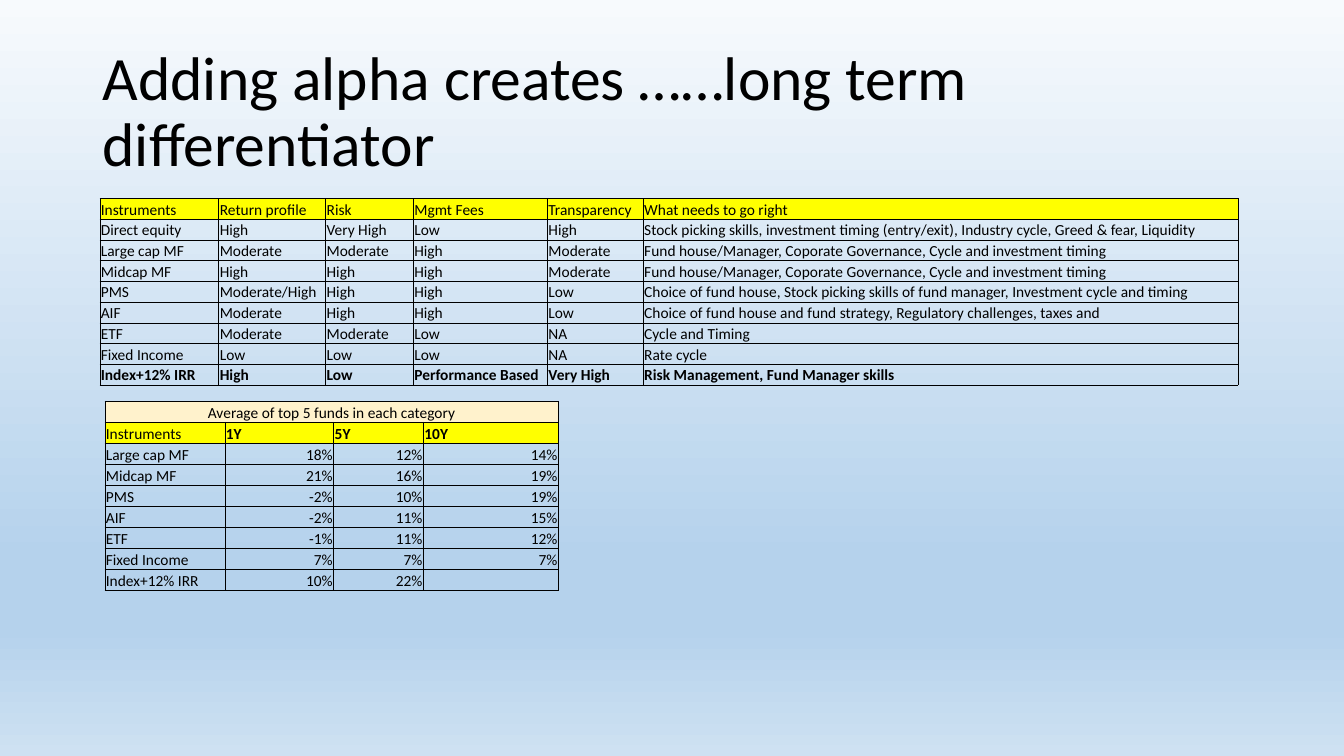
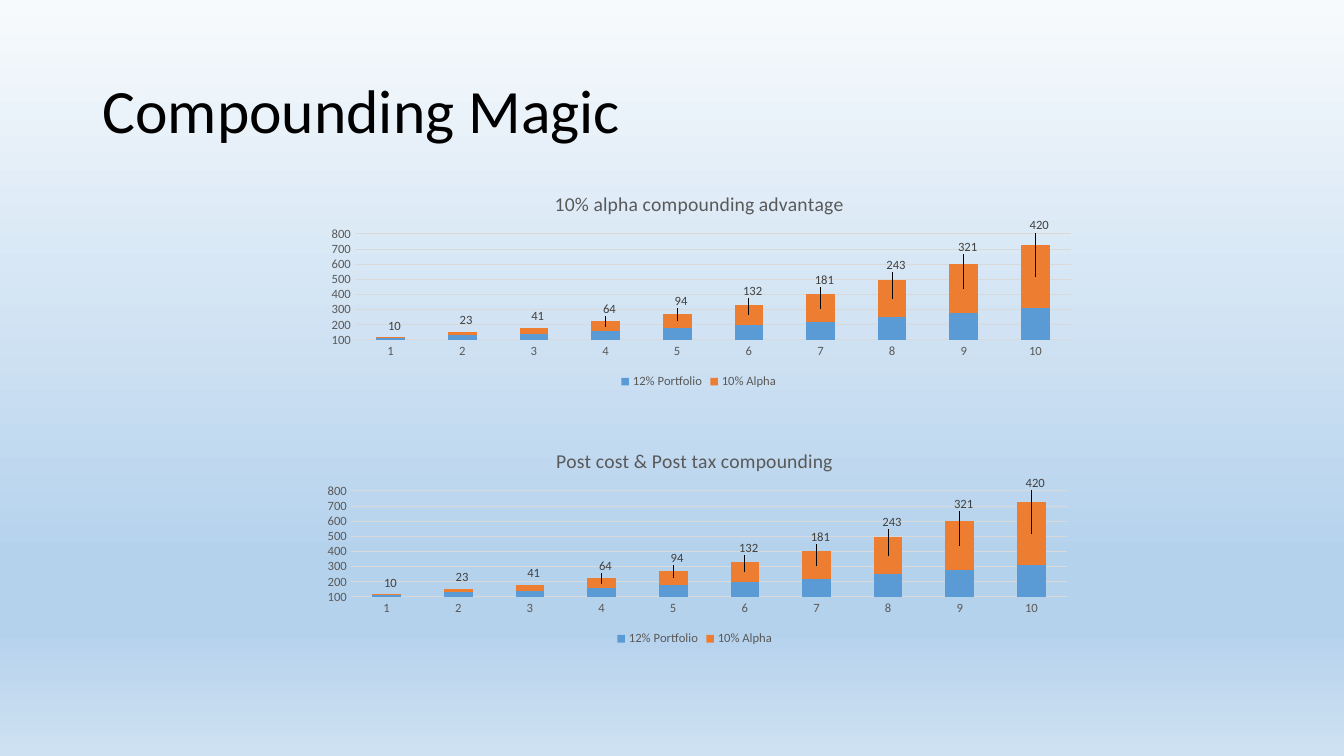
from lxml import etree
from pptx import Presentation
from pptx import util as u
from pptx.chart.data import CategoryChartData
from pptx.dml.color import RGBColor
from pptx.enum import chart as ch
from pptx.enum import text
from pptx.oxml import parse_xml
from pptx.oxml.ns import nsdecls, qn

Inches, Pt = u.Inches, u.Pt
FONT = "Calibri"
BLACK = RGBColor(0x00, 0x00, 0x00)
YELLOW = RGBColor(0xFF, 0xFF, 0x00)
CREAM = RGBColor(0xFF, 0xF2, 0xCC)
BLUE = RGBColor(0x5B, 0x9B, 0xD5)
ORANGE = RGBColor(0xED, 0x7D, 0x31)
GRID = RGBColor(0xD9, 0xD9, 0xD9)
GREY = RGBColor(0x59, 0x59, 0x59)
LABEL = RGBColor(0x40, 0x40, 0x40)
BACKGROUND = [(0, "F7FAFD"), (74, "B5D2EC"), (83, "B5D2EC"), (100, "CEE1F2")]
LEFT, CENTER, RIGHT = text.PP_ALIGN.LEFT, text.PP_ALIGN.CENTER, text.PP_ALIGN.RIGHT

TIMING = "Fund house/Manager, Coporate Governance, Cycle and investment timing"
PROFILE = [
    ["Instruments", "Return profile", "Risk", "Mgmt Fees", "Transparency", "What needs to go right"],
    ["Direct equity", "High", "Very High", "Low", "High",
     "Stock picking skills, investment timing (entry/exit), Industry cycle, Greed & fear, Liquidity"],
    ["Large cap MF", "Moderate", "Moderate", "High", "Moderate", TIMING],
    ["Midcap MF", "High", "High", "High", "Moderate", TIMING],
    ["PMS", "Moderate/High", "High", "High", "Low",
     "Choice of fund house, Stock picking skills of fund manager, Investment cycle and timing"],
    ["AIF", "Moderate", "High", "High", "Low",
     "Choice of fund house and fund strategy, Regulatory challenges, taxes and"],
    ["ETF", "Moderate", "Moderate", "Low", "NA", "Cycle and Timing"],
    ["Fixed Income", "Low", "Low", "Low", "NA", "Rate cycle"],
    ["Index+12% IRR", "High", "Low", "Performance Based", "Very High",
     "Risk Management, Fund Manager skills"],
]
RETURNS = [
    ["Average of top 5 funds in each category", "", "", ""],
    ["Instruments", "1Y", "5Y", "10Y"],
    ["Large cap MF", "18%", "12%", "14%"],
    ["Midcap MF", "21%", "16%", "19%"],
    ["PMS", "-2%", "10%", "19%"],
    ["AIF", "-2%", "11%", "15%"],
    ["ETF", "-1%", "11%", "12%"],
    ["Fixed Income", "7%", "7%", "7%"],
    ["Index+12% IRR", "10%", "22%", ""],
]
PORTFOLIO = [110, 130, 140, 160, 180, 200, 220, 250, 280, 310]
ALPHA = [10, 23, 41, 64, 94, 132, 181, 243, 321, 420]


# Shared look
def set_background(master):
    fill = master.background.fill
    fill.gradient()
    fill.gradient_angle = 270
    stops = master.element.find(".//" + qn("p:bgPr")).find(".//" + qn("a:gsLst"))
    for stop in list(stops):
        stops.remove(stop)
    for pos, color in BACKGROUND:
        stop = etree.SubElement(stops, qn("a:gs"), pos=str(pos * 1000))
        etree.SubElement(stop, qn("a:srgbClr"), val=color)


def style_font(font, size, color, bold=False):
    font.name, font.size, font.bold = FONT, Pt(size), bold
    font.color.rgb = color


def add_slide(prs, title):
    s = prs.slides.add_slide(prs.slide_layouts[6])
    sp = s.shapes.add_textbox(Inches(0.92), Inches(0.4), Inches(11.5), Inches(1.45))
    tf = sp.text_frame
    tf.word_wrap = True
    tf.vertical_anchor = text.MSO_ANCHOR.MIDDLE
    p = tf.paragraphs[0]
    p.text = title
    p.line_spacing = 0.9
    style_font(p.runs[0].font, 44, BLACK)
    return s


# Tables
def set_borders(cell):
    tcPr = cell._tc.get_or_add_tcPr()
    for side in ("lnL", "lnR", "lnT", "lnB"):
        tcPr.append(parse_xml(
            f'<a:{side} {nsdecls("a")} w="{Pt(0.5)}"><a:solidFill>'
            f'<a:srgbClr val="{BLACK}"/></a:solidFill></a:{side}>'))


def fill_cell(cell, value, fill, bold, align):
    set_borders(cell)
    if fill is None:
        cell.fill.background()
    else:
        cell.fill.solid()
        cell.fill.fore_color.rgb = fill
    cell.margin_left = cell.margin_right = cell.margin_top = Inches(0.01)
    cell.margin_bottom = 0
    cell.vertical_anchor = text.MSO_ANCHOR.BOTTOM
    p = cell.text_frame.paragraphs[0]
    p.text = value
    p.alignment = align
    for r in p.runs:
        style_font(r.font, 11, BLACK, bold)
    if not value:  # keeps an empty cell from stretching its row
        etree.SubElement(p._p, qn("a:endParaRPr"), sz="1100")


def add_grid(s, left, top, height, widths, rows, look):
    """look(row, column) gives the fill, the weight and the alignment."""
    frame = s.shapes.add_table(len(rows), len(widths), Inches(left), Inches(top),
                               Inches(sum(widths)), Inches(height))
    table = frame.table
    table.first_row = table.horz_banding = False
    for column, width in zip(table.columns, widths):
        column.width = Inches(width)
    for i, row in enumerate(rows):
        table.rows[i].height = Inches(height / len(rows))
        for j, value in enumerate(row):
            fill_cell(table.cell(i, j), value, *look(i, j))
    return table


def profile_look(i, j):
    return (YELLOW if i == 0 else None), i == len(PROFILE) - 1, LEFT


def returns_look(i, j):
    if i == 0:
        return CREAM, False, CENTER
    if i == 1:
        return YELLOW, j > 0, LEFT
    return None, False, RIGHT if j else LEFT


# Charts
def manual_layout(inner=False, edge=False, **places):
    target = '<c:layoutTarget val="inner"/>' if inner else ""
    modes = '<c:xMode val="edge"/><c:yMode val="edge"/>' if inner or edge else ""
    values = "".join(f'<c:{k} val="{v:.4f}"/>' for k, v in places.items())
    return parse_xml(f'<c:layout {nsdecls("c")}><c:manualLayout>{target}{modes}{values}'
                     '</c:manualLayout></c:layout>')


def set_layout(parent, layout, after=None):
    for old in parent.findall(qn("c:layout")):
        parent.remove(old)
    if after is None:
        parent.insert(0, layout)
    else:
        parent.find(qn(after)).addnext(layout)


def hide_leader_lines(labels):
    dLbls = labels._element
    for flag in dLbls.findall(qn("c:showLeaderLines")):
        dLbls.remove(flag)
    dLbls.append(parse_xml(
        f'<c:extLst {nsdecls("c")}><c:ext uri="{{CE6537A1-D6FC-4f65-9D91-7224C49458BB}}" '
        'xmlns:c15="http://schemas.microsoft.com/office/drawing/2012/chart">'
        '<c15:showLeaderLines val="0"/></c:ext></c:extLst>'))


def label_series(series):
    labels = series.data_labels
    labels.show_value = True
    labels.number_format, labels.number_format_is_linked = "#,##0", False
    style_font(labels.font, 9, LABEL)
    # Lift each label from the middle of its segment to above the column
    for i, value in reversed(list(enumerate(ALPHA))):
        label = parse_xml(
            f'<c:dLbl {nsdecls("c")}><c:idx val="{i}"/><c:showLegendKey val="0"/>'
            '<c:showVal val="1"/><c:showCatName val="0"/><c:showSerName val="0"/>'
            '<c:showPercent val="0"/><c:showBubbleSize val="0"/></c:dLbl>')
        set_layout(label, manual_layout(x=0.005, y=-0.051 - 0.00044 * value), "c:idx")
        labels._element.insert(0, label)
    hide_leader_lines(labels)


def style_axes(chart):
    for axis in (chart.category_axis, chart.value_axis):
        axis.major_tick_mark = axis.minor_tick_mark = ch.XL_TICK_MARK.NONE
        axis.format.line.fill.background()
        style_font(axis.tick_labels.font, 9, GREY)
    axis = chart.value_axis
    axis.minimum_scale, axis.maximum_scale, axis.major_unit = 100, 800, 100
    axis.tick_labels.number_format = "#,##0"
    axis.tick_labels.number_format_is_linked = False
    line = axis.major_gridlines.format.line
    line.color.rgb, line.width = GRID, Pt(0.75)


def add_growth_chart(s, left, top, title, title_x):
    data = CategoryChartData()
    data.categories = [str(year) for year in range(1, 11)]
    data.add_series("12% Portfolio", PORTFOLIO)
    data.add_series("10% Alpha", ALPHA)
    chart = s.shapes.add_chart(ch.XL_CHART_TYPE.COLUMN_STACKED, Inches(left), Inches(top),
                               Inches(7.7), Inches(2.13), data).chart
    style_font(chart.font, 10, BLACK)

    chart.has_title = True
    p = chart.chart_title.text_frame.paragraphs[0]
    p.text = title
    style_font(p.runs[0].font, 14, GREY)
    set_layout(chart.chart_title._element, manual_layout(edge=True, x=title_x, y=0.04), "c:tx")

    chart.has_legend = True
    chart.legend.position = ch.XL_LEGEND_POSITION.BOTTOM
    chart.legend.include_in_layout = False
    style_font(chart.legend.font, 9, GREY)

    plot = chart.plots[0]
    plot.gap_width, plot.overlap, plot.vary_by_categories = 150, 100, False
    for series, color in zip(plot.series, (BLUE, ORANGE)):
        series.format.fill.solid()
        series.format.fill.fore_color.rgb = color
    label_series(plot.series[1])
    style_axes(chart)
    area = chart._chartSpace.find(".//" + qn("c:plotArea"))
    set_layout(area, manual_layout(inner=True, x=0.057, y=0.259, w=0.923, h=0.494))


def main():
    prs = Presentation()
    prs.slide_width, prs.slide_height = Inches(13.33), Inches(7.5)
    set_background(prs.slide_master)

    # Instruments compared
    s = add_slide(prs, "Adding alpha creates ……long term differentiator")
    add_grid(s, 0.99, 1.97, 1.85, [1.18, 1.06, 0.87, 1.33, 0.95, 5.9], PROFILE, profile_look)
    table = add_grid(s, 1.04, 3.98, 1.88, [1.19, 1.08, 0.89, 1.34], RETURNS, returns_look)
    table.cell(0, 0).merge(table.cell(0, 3))

    # Growth over ten years
    s = add_slide(prs, "Compounding Magic")
    add_growth_chart(s, 3.08, 1.77, "10% alpha compounding advantage", 0.31)
    add_growth_chart(s, 3.04, 4.32, "Post cost & Post tax compounding", 0.317)

    prs.save("out.pptx")


if __name__ == "__main__":
    main()
